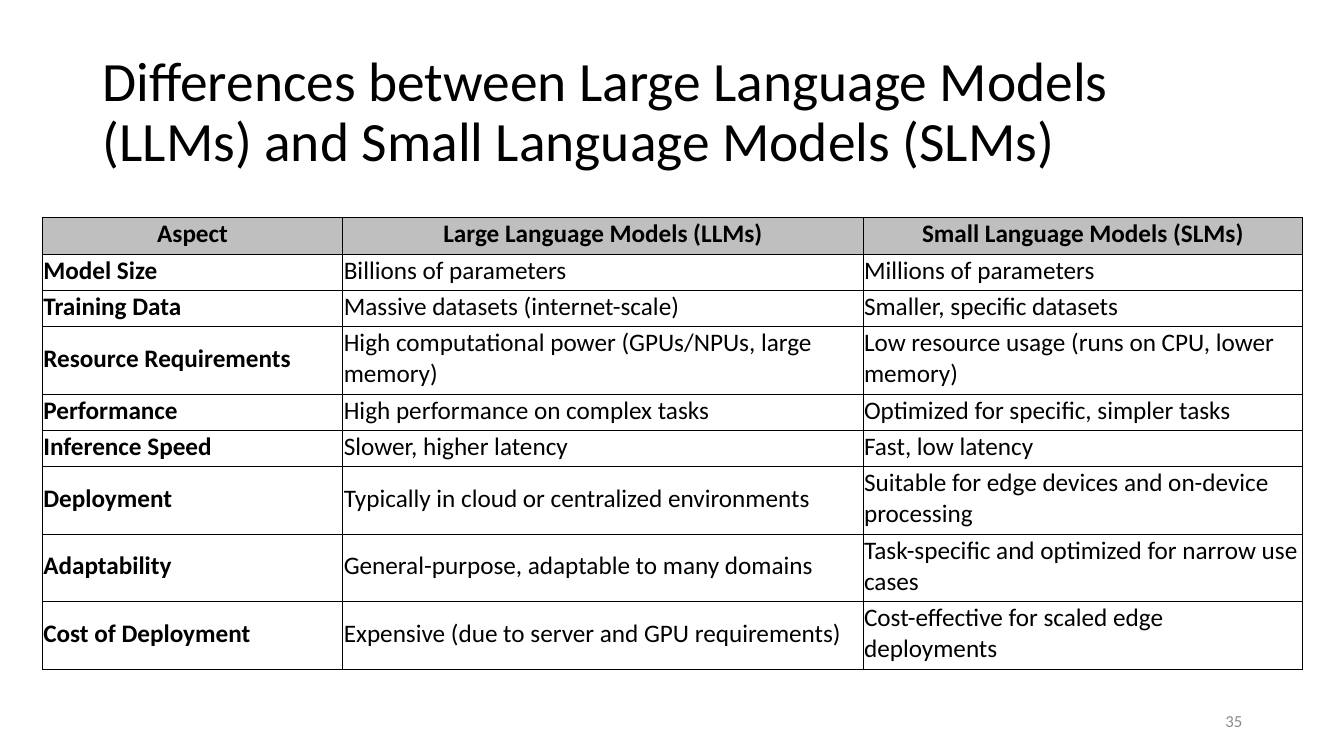
from dataclasses import dataclass

from lxml import etree
from pptx import Presentation
from pptx.dml.color import RGBColor
from pptx.enum.text import MSO_ANCHOR, PP_ALIGN
from pptx.oxml.ns import qn
from pptx.slide import Slide
from pptx.table import _Cell
from pptx.text.text import TextFrame
from pptx.util import Inches, Pt

LEFT, CENTER, RIGHT = PP_ALIGN.LEFT, PP_ALIGN.CENTER, PP_ALIGN.RIGHT
MIDDLE = MSO_ANCHOR.MIDDLE

FONT = "Calibri"
BLACK, GREY, HEADER_FILL = "000000", "8C8C8C", "BFBFBF"
COLUMN_WIDTHS = (2.98, 5.16, 4.36)
LINE_HEIGHT, CELL_PADDING = 0.31, 0.05


@dataclass(frozen=True)
class Comparison:
    aspect: str
    large: str
    small: str
    lines: int = 1


HEADER = Comparison("Aspect", "Large Language Models (LLMs)", "Small Language Models (SLMs)")
COMPARISONS = (
    Comparison("Model Size", "Billions of parameters", "Millions of parameters"),
    Comparison("Training Data", "Massive datasets (internet-scale)", "Smaller, specific datasets"),
    Comparison("Resource Requirements", "High computational power (GPUs/NPUs, large memory)",
               "Low resource usage (runs on CPU, lower memory)", lines=2),
    Comparison("Performance", "High performance on complex tasks",
               "Optimized for specific, simpler tasks"),
    Comparison("Inference Speed", "Slower, higher latency", "Fast, low latency"),
    Comparison("Deployment", "Typically in cloud or centralized environments",
               "Suitable for edge devices and on-device processing", lines=2),
    Comparison("Adaptability", "General-purpose, adaptable to many domains",
               "Task-specific and optimized for narrow use cases", lines=2),
    Comparison("Cost of Deployment", "Expensive (due to server and GPU requirements)",
               "Cost-effective for scaled edge deployments", lines=2),
)


def color(value: str) -> RGBColor:
    return RGBColor.from_string(value)


def write(frame: TextFrame, text: str, *, size: float, fill: str = BLACK, bold: bool = False,
          align: PP_ALIGN = LEFT, spacing: float = 1.0) -> None:
    para = frame.paragraphs[0]
    para.alignment = align
    para.line_spacing = spacing
    span = para.add_run()
    span.text = text
    span.font.name = FONT
    span.font.size = Pt(size)
    span.font.bold = bold
    span.font.color.rgb = color(fill)


def add_text(page: Slide, text: str, left: float, top: float, width: float, height: float,
             **text_format) -> None:
    box = page.shapes.add_textbox(Inches(left), Inches(top), Inches(width), Inches(height))
    box.text_frame.word_wrap = True
    box.text_frame.vertical_anchor = MIDDLE
    write(box.text_frame, text, **text_format)


def add_borders(cell: _Cell) -> None:
    properties = cell._tc.get_or_add_tcPr()
    for side in ("a:lnL", "a:lnR", "a:lnT", "a:lnB"):
        line = etree.SubElement(properties, qn(side), w=str(Pt(0.5)))
        fill = etree.SubElement(line, qn("a:solidFill"))
        etree.SubElement(fill, qn("a:srgbClr"), val=BLACK)


def fill_cell(cell: _Cell, text: str, *, header: bool, bold: bool) -> None:
    cell.margin_left = cell.margin_top = cell.margin_right = Inches(0.01)
    cell.margin_bottom = Inches(0.05)
    cell.vertical_anchor = MIDDLE
    add_borders(cell)
    if header:
        cell.fill.solid()
        cell.fill.fore_color.rgb = color(HEADER_FILL)
    else:
        cell.fill.background()
    write(cell.text_frame, text, size=18, bold=bold, align=CENTER if header else LEFT)


def add_comparison_table(page: Slide, left: float, top: float) -> None:
    records = (HEADER, *COMPARISONS)
    heights = [LINE_HEIGHT * record.lines + CELL_PADDING for record in records]
    table = page.shapes.add_table(
        len(records), len(COLUMN_WIDTHS), Inches(left), Inches(top),
        Inches(sum(COLUMN_WIDTHS)), Inches(sum(heights))).table
    table.first_row = table.horz_banding = False
    for column, width in zip(table.columns, COLUMN_WIDTHS):
        column.width = Inches(width)
    for row, record, height in zip(table.rows, records, heights):
        row.height = Inches(height)
        header = record is HEADER
        texts = (record.aspect, record.large, record.small)
        for index, (cell, text) in enumerate(zip(row.cells, texts)):
            fill_cell(cell, text, header=header, bold=header or index == 0)


def main() -> None:
    deck = Presentation()
    deck.slide_width, deck.slide_height = Inches(13.33), Inches(7.5)
    page = deck.slides.add_slide(deck.slide_layouts[6])

    # Title
    add_text(page, "Differences between Large Language Models (LLMs) and Small Language Models (SLMs)",
             0.92, 0.4, 11.5, 1.45, size=39.6, spacing=0.9)
    # Comparison table
    add_comparison_table(page, 0.42, 2.16)
    # Page number
    add_text(page, "35", 9.42, 6.95, 3, 0.4, size=12, fill=GREY, align=RIGHT)

    deck.save("out.pptx")


if __name__ == "__main__":
    main()
